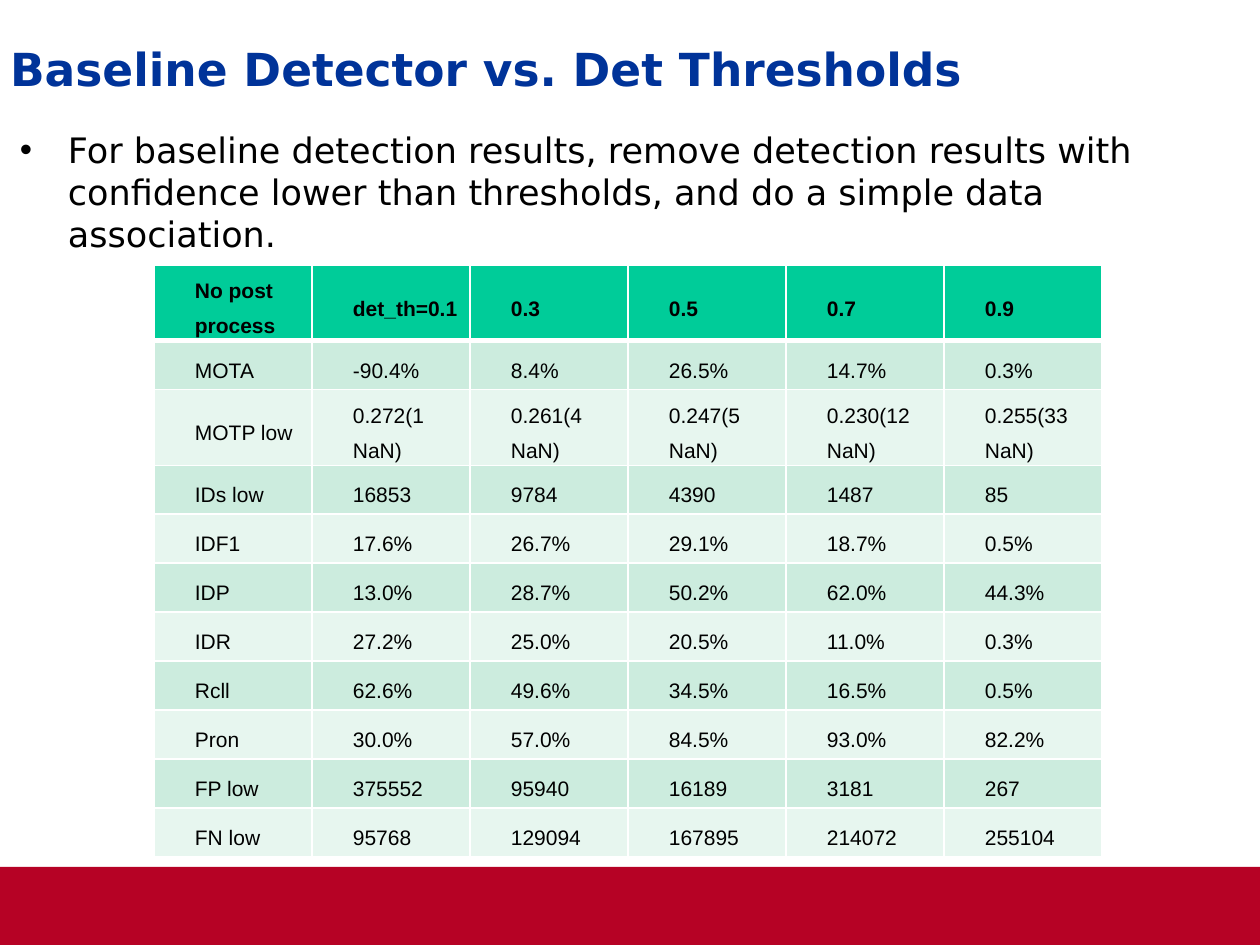
"""Build a slide comparing baseline detector results across detection thresholds."""
from dataclasses import dataclass

from lxml import etree
from pptx import Presentation
from pptx.dml.color import RGBColor
from pptx.enum.shapes import MSO_SHAPE
from pptx.enum.text import MSO_ANCHOR, PP_ALIGN
from pptx.oxml.ns import qn
from pptx.util import Emu, Pt

RECTANGLE = MSO_SHAPE.RECTANGLE
TOP, MIDDLE = MSO_ANCHOR.TOP, MSO_ANCHOR.MIDDLE
LEFT, JUSTIFY = PP_ALIGN.LEFT, PP_ALIGN.JUSTIFY

PIXELS_PER_INCH = 126
COLORS = {
    "title": "003399",
    "text": "000000",
    "footer": "B60225",
    "header": "00CC99",
    "odd": "CCECDE",
    "even": "E7F6EF",
    "border": "FFFFFF",
}
COLUMN_WIDTH = 158
HEADER_HEIGHT, ROW_HEIGHT, TALL_ROW_HEIGHT = 69, 49, 73
TALL_ROW = "MOTP low"
THIN, THICK = 1, 3
RESULTS = [
    ["No post\nprocess", "det_th=0.1", "0.3", "0.5", "0.7", "0.9"],
    ["MOTA", "-90.4%", "8.4%", "26.5%", "14.7%", "0.3%"],
    ["MOTP low", "0.272(1 NaN)", "0.261(4 NaN)", "0.247(5 NaN)", "0.230(12 NaN)", "0.255(33 NaN)"],
    ["IDs low", "16853", "9784", "4390", "1487", "85"],
    ["IDF1", "17.6%", "26.7%", "29.1%", "18.7%", "0.5%"],
    ["IDP", "13.0%", "28.7%", "50.2%", "62.0%", "44.3%"],
    ["IDR", "27.2%", "25.0%", "20.5%", "11.0%", "0.3%"],
    ["Rcll", "62.6%", "49.6%", "34.5%", "16.5%", "0.5%"],
    ["Pron", "30.0%", "57.0%", "84.5%", "93.0%", "82.2%"],
    ["FP low", "375552", "95940", "16189", "3181", "267"],
    ["FN low", "95768", "129094", "167895", "214072", "255104"],
]


@dataclass(frozen=True)
class Box:
    left: int
    top: int
    width: int
    height: int

    def emu(self) -> list[Emu]:
        return [px(value) for value in (self.left, self.top, self.width, self.height)]


@dataclass(frozen=True)
class TextStyle:
    font: str
    size: int
    color: str
    bold: bool = False
    alignment: PP_ALIGN = LEFT
    line_spacing: float = 1.0
    space_after: int = 0
    margin: int = 0
    indent: int = 0
    bullet: str = ""


@dataclass(frozen=True)
class TextBlock:
    text: str
    box: Box
    anchor: MSO_ANCHOR
    style: TextStyle


TITLE = TextBlock(
    "Baseline Detector vs. Det Thresholds",
    Box(10, 24, 1231, 100),
    MIDDLE,
    TextStyle("DejaVu Sans", 26, "title", bold=True, line_spacing=0.95),
)
BODY = TextBlock(
    "For baseline detection results, remove detection results with confidence "
    "lower than thresholds, and do a simple data association.",
    Box(20, 129, 1221, 669),
    TOP,
    TextStyle("DejaVu Sans", 20, "text", space_after=3, margin=48, indent=-48, bullet="•"),
)
FOOTER = Box(0, 867, 1260, 78)
TABLE_LEFT, TABLE_TOP = 154, 265


def px(value: int) -> Emu:
    return Emu(round(value * 914400 / PIXELS_PER_INCH))


def rgb(name: str) -> RGBColor:
    return RGBColor.from_string(COLORS[name])


def set_attributes(target, values: dict) -> None:
    for name, value in values.items():
        setattr(target, name, value)


def write_text(text_frame, text: str, style: TextStyle) -> None:
    for index, line in enumerate(text.split("\n")):
        paragraph = text_frame.add_paragraph() if index else text_frame.paragraphs[0]
        set_attributes(paragraph, {
            "alignment": style.alignment,
            "line_spacing": style.line_spacing,
            "space_before": Pt(0),
            "space_after": Pt(style.space_after),
        })
        properties = paragraph._p.get_or_add_pPr()
        properties.set("marL", str(px(style.margin)))
        properties.set("indent", str(px(style.indent)))
        if style.bullet:
            etree.SubElement(properties, qn("a:buFont"), typeface="Arial")
            etree.SubElement(properties, qn("a:buChar"), char=style.bullet)
        run = paragraph.add_run()
        run.text = line
        set_attributes(run.font, {"name": style.font, "size": Pt(style.size), "bold": style.bold})
        run.font.color.rgb = rgb(style.color)


def draw_text_block(slide, block: TextBlock) -> None:
    text_frame = slide.shapes.add_textbox(*block.box.emu()).text_frame
    set_attributes(text_frame, {
        "word_wrap": True,
        "vertical_anchor": block.anchor,
        "margin_left": 0,
        "margin_top": 0,
        "margin_right": px(13),
        "margin_bottom": px(6),
    })
    write_text(text_frame, block.text, block.style)


def draw_footer(slide) -> None:
    shape = slide.shapes.add_shape(RECTANGLE, *FOOTER.emu())
    shape.shadow.inherit = False
    shape.fill.solid()
    shape.fill.fore_color.rgb = rgb("footer")
    shape.line.fill.background()


def set_borders(cell, top: int, bottom: int) -> None:
    properties = cell._tc.get_or_add_tcPr()
    widths = {"a:lnL": THIN, "a:lnR": THIN, "a:lnT": top, "a:lnB": bottom}
    for position, (tag, width) in enumerate(widths.items()):
        line = etree.Element(qn(tag), w=str(Pt(width)))
        fill = etree.SubElement(line, qn("a:solidFill"))
        etree.SubElement(fill, qn("a:srgbClr"), val=COLORS["border"])
        properties.insert(position, line)


def draw_cell(cell, text: str, row_index: int) -> None:
    is_header = row_index == 0
    set_attributes(cell, {
        "vertical_anchor": MIDDLE,
        "margin_left": px(9),
        "margin_right": px(9),
        "margin_top": 0,
        "margin_bottom": 0,
    })
    cell.fill.solid()
    cell.fill.fore_color.rgb = rgb("header" if is_header else "odd" if row_index % 2 else "even")
    set_borders(cell, THICK if row_index == 1 else THIN, THICK if is_header else THIN)
    style = TextStyle("Arial", 12, "text", is_header, JUSTIFY, line_spacing=1.5, margin=32)
    write_text(cell.text_frame, text, style)


def draw_results(slide) -> None:
    heights = [HEADER_HEIGHT] + [
        TALL_ROW_HEIGHT if row[0] == TALL_ROW else ROW_HEIGHT for row in RESULTS[1:]
    ]
    column_count = len(RESULTS[0])
    box = Box(TABLE_LEFT, TABLE_TOP, COLUMN_WIDTH * column_count, sum(heights))
    table = slide.shapes.add_table(len(RESULTS), column_count, *box.emu()).table
    table.horz_banding = False
    for row_index, (values, height) in enumerate(zip(RESULTS, heights)):
        table.rows[row_index].height = px(height)
        for column_index, text in enumerate(values):
            draw_cell(table.cell(row_index, column_index), text, row_index)


def main() -> None:
    presentation = Presentation()
    set_attributes(presentation, {"slide_width": px(1260), "slide_height": px(945)})
    slide = presentation.slides.add_slide(presentation.slide_layouts[6])
    draw_footer(slide)
    for block in (TITLE, BODY):
        draw_text_block(slide, block)
    draw_results(slide)
    presentation.save("out.pptx")


if __name__ == "__main__":
    main()
